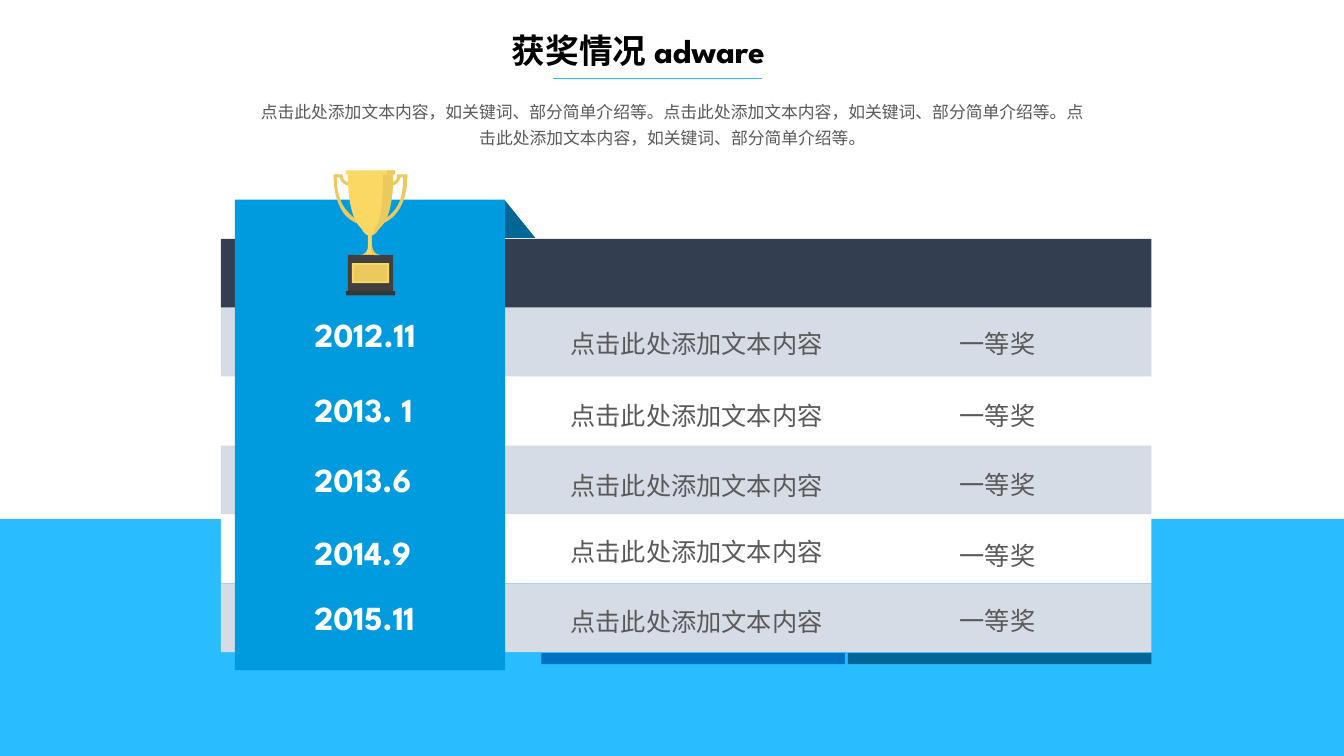
from dataclasses import dataclass

from lxml import etree
from pptx import Presentation, util as u
from pptx.dml import color
from pptx.enum import shapes, text
from pptx.oxml import ns


@dataclass(frozen=True)
class Theme:
    font: str = "League Spartan"
    sky: str = "29BDFF"
    panel: str = "009ADE"
    blue: str = "0070C0"
    fold: str = "006694"
    header: str = "333F50"
    band: str = "D6DCE5"
    white: str = "FFFFFF"
    black: str = "000000"
    grey: str = "595959"
    gold: str = "FBD764"
    shade: str = "EAC95D"
    base: str = "404040"
    plinth: str = "363636"
    heading: int = 24
    cell: int = 18
    body: int = 12


T = Theme()
RECT = shapes.MSO_SHAPE.RECTANGLE
LEFT, CENTER = text.PP_ALIGN.LEFT, text.PP_ALIGN.CENTER
GROW, FIXED = text.MSO_AUTO_SIZE.SHAPE_TO_FIT_TEXT, text.MSO_AUTO_SIZE.NONE

ROWS = [
    ("2012.11", 3.07, 3.12, 3.12),
    ("2013. 1", 3.81, 3.83, 3.83),
    ("2013.6", 4.5, 4.53, 4.52),
    ("2014.9", 5.23, 5.18, 5.22),
    ("2015.11", 5.87, 5.88, 5.87),
]

HANDLES = [
    [(.36, .55), (.29, .55, .19, .53, .11, .44), (.04, .35, 0, .22, 0, .06),
     (0, .04), (.09, .04), (.09, .06), (.09, .09, .12, .12, .16, .12),
     (.57, .12), (.6, .12, .63, .09, .63, .06), (.63, .04), (.73, .04),
     (.73, .06), (.73, .22, .69, .35, .61, .44), (.53, .53, .43, .55, .36, .55)],
    [(.03, .07), (.03, .22, .07, .34, .14, .41), (.21, .5, .3, .51, .36, .51),
     (.42, .51, .52, .5, .59, .41), (.66, .34, .69, .22, .69, .07),
     (.66, .07), (.66, .12, .61, .15, .57, .15), (.16, .15),
     (.11, .15, .07, .12, .06, .07)],
]
FOOT = [[(.26, .84), (.31, .84, .34, .8, .34, .75), (.38, .75),
         (.38, .8, .42, .84, .46, .84)]]
CUP = [[(.2, .04), (.2, .49, .28, .65, .36, .65), (.44, .65, .53, .49, .53, .04)]]
BOWL = [[(.14, .04), (.14, .46, .25, .61, .36, .61), (.48, .61, .59, .46, .59, .04)]]
CUP_SHADE = [[(.53, .04), (.49, .04), (.49, .35, .46, .51, .41, .58),
              (.4, .63, .38, .65, .36, .65), (.39, .65, .42, .63, .45, .58),
              (.53, .51, .59, .35, .59, .04)]]
FOOT_SHADE = [[(.38, .75), (.37, .75), (.37, .8, .38, .84, .4, .84),
               (.46, .84), (.42, .84, .38, .8, .38, .75)]]
PLINTH = [[(.61, 1.2), (.12, 1.2), (.12, 1.24), (.61, 1.24)]]
STEM_SHADE = [[(.38, .65), (.37, .65), (.37, .75), (.38, .75)]]

TROPHY = [
    (HANDLES, T.shade),
    ((.34, .59, .04, .16), T.gold),
    (FOOT, T.gold),
    (CUP, T.gold),
    (BOWL, T.gold),
    ((.14, .84, .45, .37), T.base),
    ((.12, 1.2, .49, .04), T.base),
    ((.18, .92, .37, .2), T.gold),
    ((.12, 0, .49, .04), T.gold),
    (PLINTH, T.plinth),
    (CUP_SHADE, T.shade),
    ((.53, 0, .08, .04), T.shade),
    (FOOT_SHADE, T.shade),
    (STEM_SHADE, T.shade),
    ((.2, .94, .33, .16), T.shade),
]


def paint(sp, fill):
    sp.shadow.inherit = False
    sp.fill.solid()
    sp.fill.fore_color.rgb = color.RGBColor.from_string(fill)
    sp.line.fill.background()


def add_block(s, box, fill, kind=RECT):
    sp = s.shapes.add_shape(kind, *map(u.Inches, box))
    paint(sp, fill)
    return sp


def add_label(s, box, words, size, ink, bold=False, align=LEFT, spacing=None, fit=GROW):
    tf = s.shapes.add_textbox(*map(u.Inches, box)).text_frame
    tf.word_wrap, tf.auto_size = True, fit
    p = tf.paragraphs[0]
    p.alignment, p.line_spacing = align, spacing
    r = p.add_run()
    r.text = words
    for name, value in {"name": T.font, "size": u.Pt(size), "bold": bold}.items():
        setattr(r.font, name, value)
    r.font.color.rgb = color.RGBColor.from_string(ink)


def add_outline(s, left, top, contours, fill):
    builder = None
    for contour in contours:
        first, *rest = [(u.Inches(left + part[-2]), u.Inches(top + part[-1]))
                        for part in contour]
        if builder is None:
            builder = s.shapes.build_freeform(*first, scale=1.0)
        else:
            builder.move_to(*first)
        builder.add_line_segments(rest, close=True)
    sp = builder.convert_to_shape()
    paint(sp, fill)
    parts = [part for contour in contours for part in contour[1:]]
    for line, part in zip(list(sp._element.iter(ns.qn("a:lnTo"))), parts):
        if len(part) == 6:
            line.tag = ns.qn("a:cubicBezTo")
            controls = [(part[0], part[1]), (part[2], part[3])]
            for i, (x, y) in enumerate(controls):
                pt = etree.Element(ns.qn("a:pt"))
                pt.set("x", str(u.Inches(left + x) - sp.left))
                pt.set("y", str(u.Inches(top + y) - sp.top))
                line.insert(i, pt)


def add_heading(s, box):
    x, y, w, h = box
    rule = s.shapes.add_connector(
        shapes.MSO_CONNECTOR.STRAIGHT,
        *map(u.Inches, (x + 3.07, y + .48, x + 5.15, y + .48)))
    rule.line.color.rgb = color.RGBColor.from_string(T.sky)
    rule.line.width = u.Pt(.5)
    etree.SubElement(rule._element.spPr, ns.qn("a:effectLst"))
    add_label(s, (x + 2.57, y - .01, 3.04, .49), "获奖情况 adware", T.heading, T.black,
              bold=True, spacing=.9, fit=FIXED)
    add_label(s, (x, y + .6, w, h - .6), "点击此处添加文本内容，如关键词、部分简单介绍等。" * 3,
              T.body, T.grey, align=CENTER, spacing=1.3)


def add_awards(s, box):
    x, y, w, h = box
    row_h = h / (len(ROWS) + 1)
    fills = [T.header] + [T.white if i % 2 else T.band for i in range(len(ROWS))]
    bands = s.shapes.add_group_shape()
    for i, fill in enumerate(fills):
        add_block(bands, (x, y + i * row_h, w, row_h), fill)
    ribbon = s.shapes.add_group_shape()
    add_block(ribbon, (x + .14, y - .39, 2.68, 4.67), T.panel)
    fold = add_block(ribbon, (x + 2.82, y - .38, .3, .37), T.fold,
                     shapes.MSO_SHAPE.ISOSCELES_TRIANGLE)
    fold.adjustments[0] = 0
    for date, date_y, entry_y, prize_y in ROWS:
        add_label(s, (x + .83, date_y, 1.58, .5), date, T.heading, T.white, bold=True)
        add_label(s, (x + 3.37, entry_y, 3.06, .49), "点击此处添加文本内容",
                  T.cell, T.grey, spacing=1.3)
        add_label(s, (x + 7.23, prize_y, 1.12, .49), "一等奖",
                  T.cell, T.grey, spacing=1.3)
    for i, fill in enumerate((T.blue, T.fold)):
        add_block(s, (x + 3.18 + i * 3.04, y + h + .01, 3.01, .11), fill)


def add_trophy(s, left, top):
    trophy = s.shapes.add_group_shape()
    for part, fill in TROPHY:
        if isinstance(part, list):
            add_outline(trophy, left, top, part, fill)
        else:
            dx, dy, w, h = part
            add_block(trophy, (left + dx, top + dy, w, h), fill)


def main():
    prs = Presentation()
    prs.slide_width, prs.slide_height = u.Inches(13.33), u.Inches(7.5)
    s = prs.slides.add_slide(prs.slide_layouts[6])
    add_block(s, (0, 5.15, 13.33, 2.35), T.sky)
    add_heading(s, (2.41, .3, 8.52, 1.2))
    add_awards(s, (2.19, 2.37, 9.23, 4.1))
    add_trophy(s, 3.31, 1.69)
    prs.save("out.pptx")


if __name__ == "__main__":
    main()
